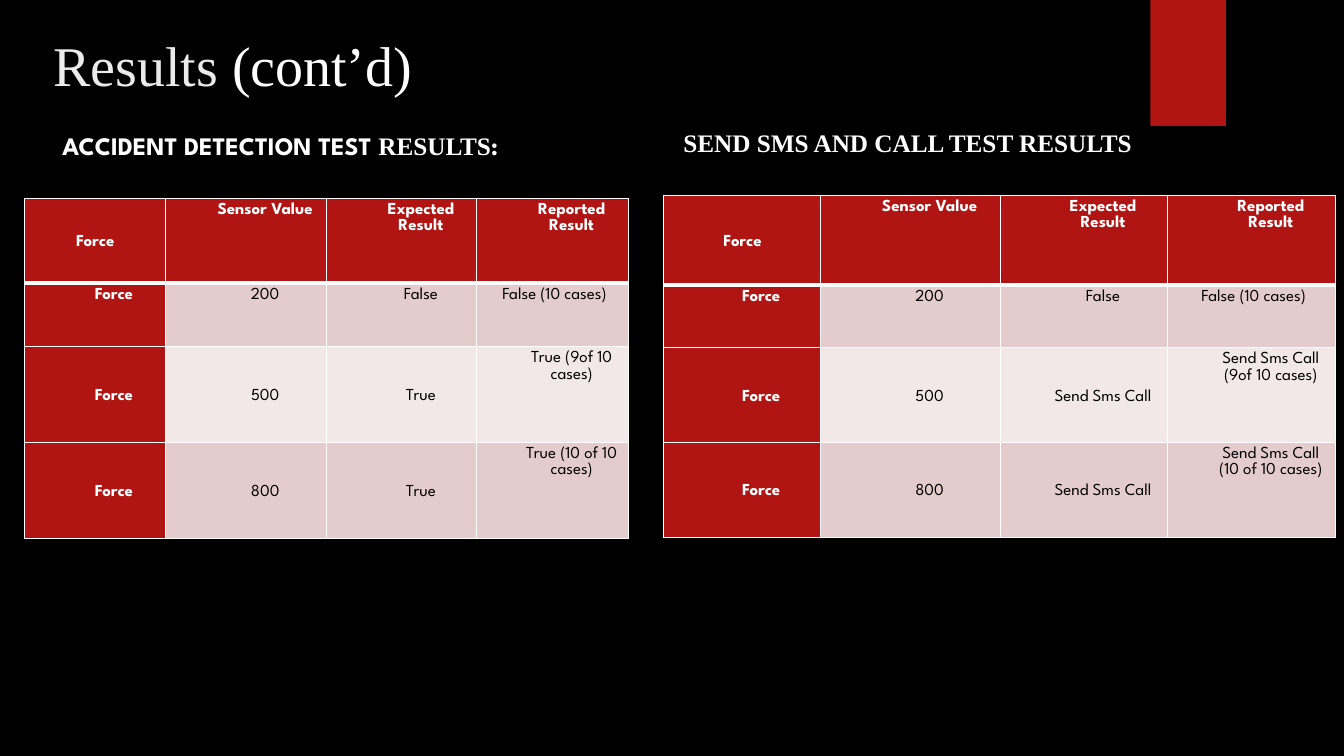
from dataclasses import dataclass

from lxml import etree
from pptx import Presentation
from pptx.dml.color import RGBColor
from pptx.enum.shapes import MSO_SHAPE
from pptx.enum.text import MSO_ANCHOR, PP_ALIGN
from pptx.oxml.ns import qn
from pptx.util import Inches, Pt

RECT = MSO_SHAPE.RECTANGLE
TOP, MIDDLE = MSO_ANCHOR.TOP, MSO_ANCHOR.MIDDLE
LEFT, CENTER = PP_ALIGN.LEFT, PP_ALIGN.CENTER


@dataclass(frozen=True)
class Theme:
    black: str = "000000"
    white: str = "FFFFFF"
    soft: str = "EBEBEB"
    red: str = "B01513"
    bands: tuple = ("E4CCCC", "F2E8E7")
    sans: str = "League Spartan"
    serif: str = "Times New Roman"
    title: int = 40
    head: int = 18
    body: int = 12
    thin: int = 1
    thick: int = 3


THEME = Theme()

HEADER = ["Force", "Sensor Value", "Expected Result", "Reported Result"]
DETECT = [
    HEADER,
    ["Force", "200", "False", "False (10 cases)"],
    ["Force", "500", "True", "True (9of 10 cases)"],
    ["Force", "800", "True", "True (10 of 10 cases)"],
]
ALERT = [
    HEADER,
    ["Force", "200", "False", "False (10 cases)"],
    ["Force", "500", "Send Sms Call", "Send Sms Call (9of 10 cases)"],
    ["Force", "800", "Send Sms Call", "Send Sms Call (10 of 10 cases)"],
]


def rgb(color):
    return RGBColor.from_string(color)


def add_run(para, text, font, size, color, bold=False):
    run = para.add_run()
    run.text = text
    run.font.name = font
    run.font.size = Pt(size)
    run.font.bold = bold
    run.font.color.rgb = rgb(color)


def add_text(slide, box, size, runs, bold=False, anchor=TOP):
    """Place one line of text; runs holds (text, font, color)."""
    frame = slide.shapes.add_textbox(*map(Inches, box)).text_frame
    frame.word_wrap = True
    frame.vertical_anchor = anchor
    para = frame.paragraphs[0]
    para.alignment = LEFT
    for text, font, color in runs:
        add_run(para, text, font, size, color, bold)


def add_block(slide, box, color):
    block = slide.shapes.add_shape(RECT, *map(Inches, box))
    block.shadow.inherit = False
    block.fill.solid()
    block.fill.fore_color.rgb = rgb(color)
    block.line.fill.background()


def set_edges(cell, row):
    """Thin white edges, with a thick rule below the header row."""
    props = cell._tc.get_or_add_tcPr()
    heavy = {0: "lnB", 1: "lnT"}.get(row)
    for side in ("lnL", "lnR", "lnT", "lnB"):
        width = THEME.thick if side == heavy else THEME.thin
        line = etree.SubElement(props, qn(f"a:{side}"), w=str(Pt(width)))
        fill = etree.SubElement(line, qn("a:solidFill"))
        etree.SubElement(fill, qn("a:srgbClr"), val=THEME.white)


def fill_cell(cell, text, row, col):
    label = row == 0 or col == 0
    corner = row == 0 and col == 0
    set_edges(cell, row)
    cell.fill.solid()
    cell.fill.fore_color.rgb = rgb(
        THEME.red if label else THEME.bands[(row - 1) % 2])
    cell.margin_left, cell.margin_right = Inches(0.08), Inches(0.07)
    cell.margin_top, cell.margin_bottom = Inches(0.03), 0
    middle = corner or (row > 1 and col < 3)
    cell.vertical_anchor = MIDDLE if middle else TOP

    para = cell.text_frame.paragraphs[0]
    para.alignment = CENTER
    para.line_spacing = 1.07
    indent = 0 if corner else 0.03 if (row, col) == (1, 3) else 0.37
    para._p.get_or_add_pPr().set("marL", str(Inches(indent)))
    color = THEME.white if label else THEME.black
    add_run(para, text, THEME.sans, THEME.body, color, label)


def add_grid(slide, left, top, widths, heights, data):
    box = (left, top, sum(widths), sum(heights))
    table = slide.shapes.add_table(
        len(heights), len(widths), *map(Inches, box)).table
    table.first_row = table.horz_banding = False
    for column, width in zip(table.columns, widths):
        column.width = Inches(width)
    for line, height in zip(table.rows, heights):
        line.height = Inches(height)
    for row, texts in enumerate(data):
        for col, text in enumerate(texts):
            fill_cell(table.cell(row, col), text, row, col)


def main():
    deck = Presentation()
    deck.slide_width, deck.slide_height = Inches(13.33), Inches(7.5)
    slide = deck.slides.add_slide(deck.slide_layouts[6])
    slide.background.fill.solid()
    slide.background.fill.fore_color.rgb = rgb(THEME.black)

    # Accent and title
    add_block(slide, (11.41, 0, 0.75, 1.25), THEME.red)
    add_text(slide, (0.43, 0.25, 10, 1.2), THEME.title, [
        ("Results ", THEME.serif, THEME.soft),
        ("(cont’d)", THEME.serif, THEME.white),
    ])

    # Accident detection
    add_text(slide, (0.52, 1.24, 4.81, 0.71), THEME.head, [
        ("ACCIDENT DETECTION TEST ", THEME.sans, THEME.white),
        ("RESULTS", THEME.serif, THEME.white),
        (":", THEME.sans, THEME.white),
    ], bold=True)
    add_grid(slide, 0.24, 1.97, (1.4, 1.6, 1.49, 1.5),
             (0.84, 0.63, 0.95, 0.95), DETECT)

    # Message and call
    add_text(slide, (6.68, 1.21, 4.73, 0.4), THEME.head, [
        ("SEND SMS AND CALL TEST RESULTS", THEME.serif, THEME.white),
    ], bold=True, anchor=MIDDLE)
    add_grid(slide, 6.58, 1.94, (1.56, 1.78, 1.66, 1.67),
             (0.89, 0.62, 0.94, 0.94), ALERT)

    deck.save("out.pptx")


if __name__ == "__main__":
    main()
